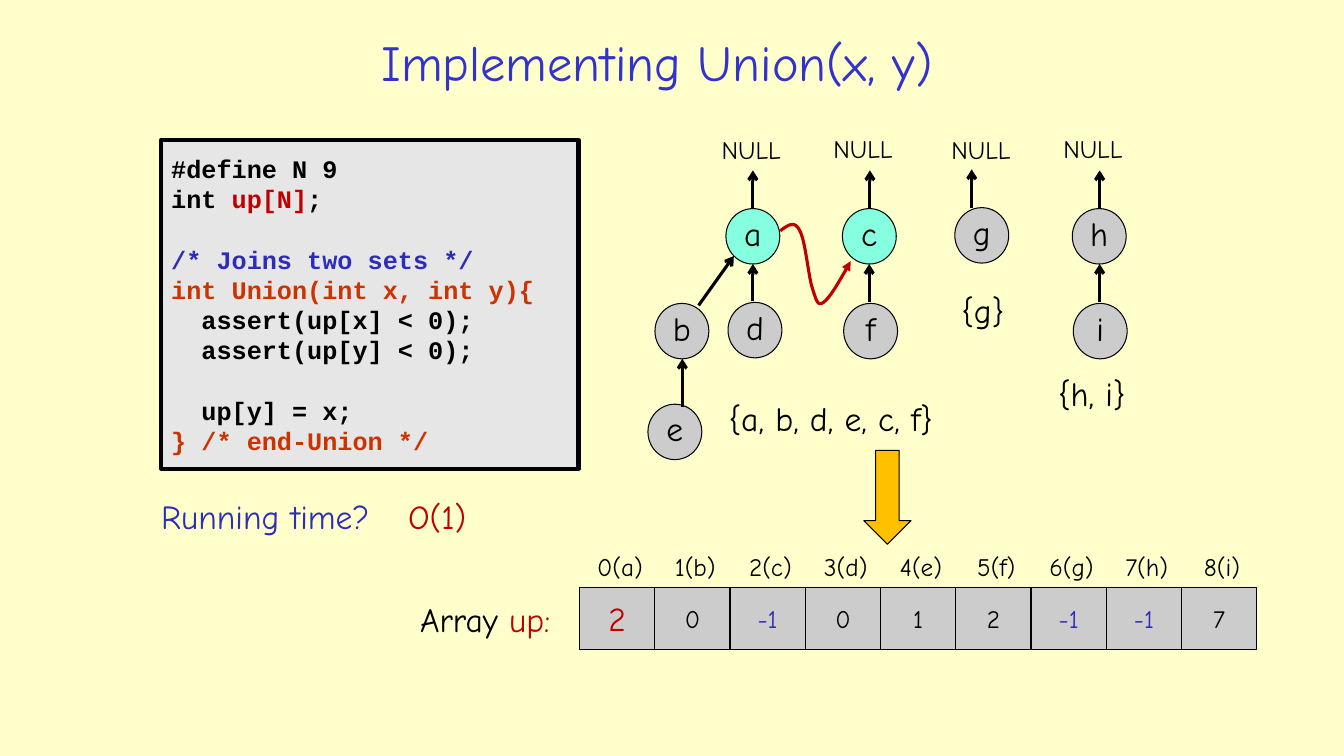
from dataclasses import dataclass

from lxml import etree
from pptx import Presentation
from pptx.dml.color import RGBColor
from pptx.enum import shapes, text
from pptx.oxml import ns
from pptx.util import Pt


@dataclass(frozen=True)
class Theme:
    font: str = "Comic Neue"
    code_font: str = "Courier New"
    background: str = "FFFFCC"
    title: str = "3333CC"
    ink: str = "000000"
    blue: str = "2D2DB9"
    red: str = "C00000"
    orange: str = "CC3300"
    panel: str = "E6E6E6"
    gray: str = "CCCCCC"
    root: str = "85FFE0"
    gold: str = "FFC000"
    title_size: int = 36
    body_size: int = 24
    small_size: int = 18


THEME = Theme()
CODE_PITCH = 21.6
NODE_WIDTH, NODE_HEIGHT = 38.5, 39.6

CODE = [  # one list of (text, colour) per line; an empty list is a blank line
    [("#define N 9", THEME.ink)],
    [("int ", THEME.ink), ("up[N]", THEME.red), (";", THEME.ink)],
    [],
    [("/* Joins two sets */", THEME.blue)],
    [("int Union(int x, int y){", THEME.orange)],
    [("  assert(up[x] < 0);", THEME.ink)],
    [("  assert(up[y] < 0);", THEME.ink)],
    [],
    [("  up[y] = x;", THEME.ink)],
    [("} /* end-Union */", THEME.orange)],
]
NODES = {  # name: centre
    "a": (537.8, 168.8), "b": (487.1, 236.5), "d": (539.3, 235.8),
    "e": (482.1, 308.5), "c": (621, 168.8), "f": (621.9, 236.5),
    "g": (701.3, 168.1), "h": (785.2, 168.8), "i": (785.9, 236.5),
}
MERGED_ROOTS = "ac"
ARROWS = [  # x and y of the start, x and y of the head
    (499, 218.2, 524.2, 182.9), (537.8, 215.3, 537.8, 188.6),
    (487.4, 290.9, 487.4, 256.3), (620.9, 216, 620.9, 188.6),
    (785.5, 216, 785.5, 188.6), (537.8, 149, 537.8, 121.7),
    (621.4, 149, 621.4, 121.7), (694.1, 148.3, 694.1, 121),
    (785.5, 149, 785.5, 121.7),
]
NULLS = [(508.3, 92.2), (588.2, 91.4), (672.5, 92.2), (752.4, 91.4)]
SET_LABELS = [
    ("{a, b, d, e, c, f}", 513.4, 280.1, 180.7),
    ("{g}", 679.7, 203, 46.1),
    ("{h, i}", 748.8, 262.8, 67),
]
UNION_CURVE = [  # four control points for each bend
    [(557.3, 164.9), (562.3, 161.3), (567.4, 157), (571, 164.2)],
    [(571, 164.2), (575.3, 170.6), (577.4, 197.3), (580.3, 205.9)],
    [(580.3, 205.9), (583.2, 214.6), (583.9, 218.9), (588.2, 216)],
    [(588.2, 216), (593.3, 212.4), (600.5, 199.4), (607.7, 186.5)],
]
UP_VALUES = [2, 0, -1, 0, 1, 2, -1, -1, 7]
ARRAY_LEFT, ARRAY_TOP, CELL_WIDTH, CELL_HEIGHT = 414, 419.8, 53.75, 44


def rgb(color):
    return RGBColor.from_string(color)


def write_runs(paragraph, runs, size, font=THEME.font, bold=False):
    for content, color in runs:
        run = paragraph.add_run()
        run.text = content
        run.font.name = font
        run.font.size = Pt(size)
        run.font.bold = bold
        run.font.color.rgb = rgb(color)


def add_label(slide, runs, left, top, width, height, size=THEME.body_size,
              align=text.PP_ALIGN.LEFT):
    box = slide.shapes.add_textbox(Pt(left), Pt(top), Pt(width), Pt(height))
    frame = box.text_frame
    frame.word_wrap = False
    frame.vertical_anchor = text.MSO_ANCHOR.MIDDLE
    frame.paragraphs[0].alignment = align
    write_runs(frame.paragraphs[0], runs, size)


def add_box(slide, kind, left, top, width, height, fill, line_width=0.75):
    shape = slide.shapes.add_shape(kind, Pt(left), Pt(top), Pt(width), Pt(height))
    shape.shadow.inherit = False
    shape.fill.solid()
    shape.fill.fore_color.rgb = rgb(fill)
    shape.line.color.rgb = rgb(THEME.ink)
    shape.line.width = Pt(line_width)
    shape.text_frame.word_wrap = False
    shape.text_frame.vertical_anchor = text.MSO_ANCHOR.MIDDLE
    return shape


def write_centered(shape, content, color, size, lift=5):
    """Centre one word in a shape, raised by half of lift."""
    frame = shape.text_frame
    frame.margin_left = frame.margin_right = frame.margin_top = 0
    frame.margin_bottom = Pt(lift)
    frame.paragraphs[0].alignment = text.PP_ALIGN.CENTER
    write_runs(frame.paragraphs[0], [(content, color)], size)


def style_arrow(shape, color, head):
    shape.line.color.rgb = rgb(color)
    shape.line.width = Pt(2.25)
    properties = shape.element.spPr
    line = properties.find(ns.qn("a:ln"))
    etree.SubElement(line, ns.qn("a:tailEnd"), type=head)
    if properties.find(ns.qn("a:effectLst")) is None:
        line.addnext(etree.Element(ns.qn("a:effectLst")))


def add_arrow(slide, *ends):
    arrow = slide.shapes.add_connector(
        shapes.MSO_CONNECTOR.STRAIGHT, *(Pt(end) for end in ends))
    style_arrow(arrow, THEME.ink, "arrow")


def bezier_point(controls, t):
    weights = ((1 - t) ** 3, 3 * t * (1 - t) ** 2, 3 * t ** 2 * (1 - t), t ** 3)
    return tuple(Pt(sum(w * point[axis] for w, point in zip(weights, controls)))
                 for axis in (0, 1))


def add_curved_arrow(slide, bends, steps=10):
    builder = slide.shapes.build_freeform(*bezier_point(bends[0], 0))
    builder.add_line_segments(
        [bezier_point(bend, step / steps)
         for bend in bends for step in range(1, steps + 1)], close=False)
    curve = builder.convert_to_shape()
    curve.fill.background()
    style_arrow(curve, THEME.red, "triangle")


def add_code(slide, lines, left, top, width, height):
    panel = add_box(slide, shapes.MSO_SHAPE.RECTANGLE, left, top, width, height,
                    THEME.panel, 3)
    frame = panel.text_frame
    paragraph, gap = frame.paragraphs[0], 0
    for runs in lines:
        if not runs:
            gap += CODE_PITCH
            continue
        if paragraph.runs:
            paragraph = frame.add_paragraph()
        paragraph.alignment = text.PP_ALIGN.LEFT
        paragraph.line_spacing = Pt(CODE_PITCH)
        if gap:
            paragraph.space_before = Pt(gap)
        write_runs(paragraph, runs, THEME.small_size, THEME.code_font, bold=True)
        gap = 0


def add_forest(slide):
    for name, (x, y) in NODES.items():
        node = add_box(slide, shapes.MSO_SHAPE.OVAL, x - NODE_WIDTH / 2,
                       y - NODE_HEIGHT / 2, NODE_WIDTH, NODE_HEIGHT,
                       THEME.root if name in MERGED_ROOTS else THEME.gray)
        write_centered(node, name, THEME.ink, THEME.body_size)
    for ends in ARROWS:
        add_arrow(slide, *ends)
    for left, top in NULLS:
        add_label(slide, [("NULL", THEME.ink)], left, top, 63.4, 28.8, THEME.small_size)
    for content, left, top, width in SET_LABELS:
        add_label(slide, [(content, THEME.ink)], left, top, width, 36.5)
    add_curved_arrow(slide, UNION_CURVE)


def add_up_array(slide):
    for index, (name, value) in enumerate(zip(sorted(NODES), UP_VALUES)):
        left = ARRAY_LEFT + index * CELL_WIDTH
        cell = add_box(slide, shapes.MSO_SHAPE.RECTANGLE, left, ARRAY_TOP,
                       CELL_WIDTH, CELL_HEIGHT, THEME.gray)
        color = THEME.blue if value < 0 else THEME.ink
        changed = index == 0
        write_centered(cell, str(value), THEME.red if changed else color,
                       THEME.body_size if changed else THEME.small_size, 0)
        add_label(slide, [(f"{index}({name})", THEME.ink)], left + 2, 390.2,
                  CELL_WIDTH, 28.8, THEME.small_size, text.PP_ALIGN.CENTER)
    add_label(slide, [("Array ", THEME.ink), ("up:", THEME.red)], 293, 424.1, 120.2, 36.5)


def main():
    presentation = Presentation()
    presentation.slide_width, presentation.slide_height = Pt(960), Pt(540)
    slide = presentation.slides.add_slide(presentation.slide_layouts[6])
    slide.background.fill.solid()
    slide.background.fill.fore_color.rgb = rgb(THEME.background)
    add_label(slide, [("Implementing Union(x, y)", THEME.title)], 146.9, 18.7, 645.1,
              49.7, THEME.title_size, text.PP_ALIGN.CENTER)
    add_code(slide, CODE, 115.2, 100.1, 298.1, 234.7)
    add_forest(slide)
    add_up_array(slide)
    add_box(slide, shapes.MSO_SHAPE.DOWN_ARROW, 617, 321.8, 33.8, 67, THEME.gold)
    add_label(slide, [("Running time?", THEME.blue)], 108, 350.6, 170.6, 36.5)
    add_label(slide, [("O(1)", THEME.red)], 284.4, 350.6, 62.6, 36.5)
    presentation.save("out.pptx")


if __name__ == "__main__":
    main()
